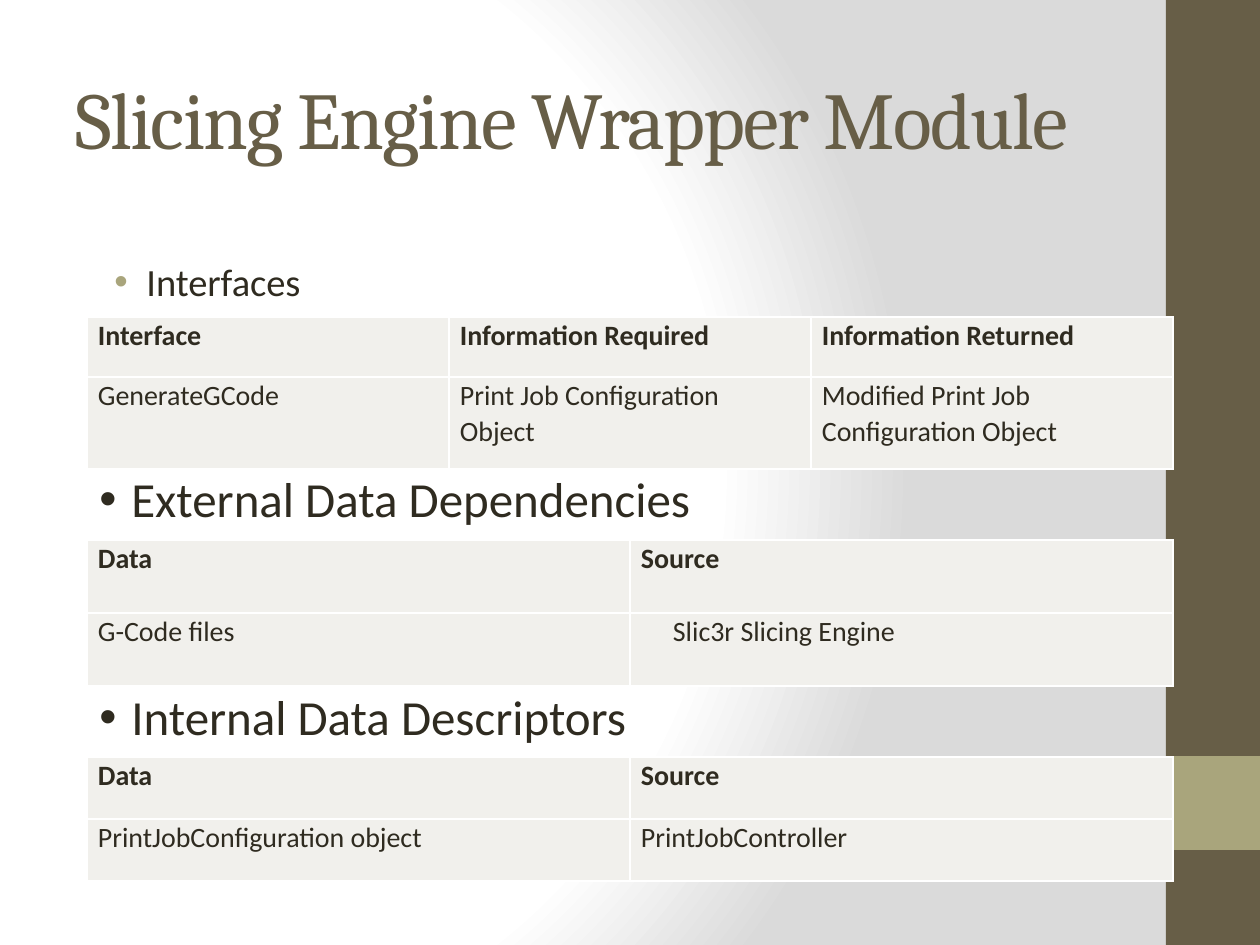
from lxml.etree import SubElement
from pptx import Presentation
from pptx.dml.color import RGBColor
from pptx.enum.shapes import MSO_SHAPE
from pptx.enum.text import MSO_ANCHOR, PP_ALIGN
from pptx.oxml import parse_xml
from pptx.oxml.ns import nsdecls, qn
from pptx.util import Pt

PX = 914400 / 126
BROWN = RGBColor(0x67, 0x5E, 0x47)
OLIVE = RGBColor(0xA9, 0xA5, 0x7C)
INK = RGBColor(0x2F, 0x2B, 0x20)
CELL = RGBColor(0xF1, 0xF0, 0xEC)
WHITE = RGBColor(0xFF, 0xFF, 0xFF)
GREY = RGBColor(0xDA, 0xDA, 0xDA)

CONTENT_LEFT = 87
CONTENT_WIDTH = 1086
HEADING_HEIGHT = 70
BULLET_HANG = 32


def px(length):
    return round(length * PX)


def set_font(para, size, color=INK, name="Calibri", bold=False):
    font = para.font
    font.name, font.size, font.bold = name, Pt(size), bold
    font.color.rgb = color


def set_background(page):
    """Radial gradient, white around a focus on the left and grey to the right."""
    page.background.fill.gradient()
    old = page._element.find(".//" + qn("a:gradFill"))
    stops = "".join(
        f'<a:gs pos="{percent * 1000}"><a:srgbClr val="{color}"/></a:gs>'
        for percent, color in ((0, WHITE), (75, WHITE), (100, GREY)))
    gradient = parse_xml(
        f'<a:gradFill {nsdecls("a")} rotWithShape="1"><a:gsLst>{stops}</a:gsLst>'
        '<a:path path="circle"><a:fillToRect l="20000" t="50000" r="100000" b="50000"/>'
        '</a:path></a:gradFill>')
    old.getparent().replace(old, gradient)


def add_band(page, top, height, color):
    band = page.shapes.add_shape(
        MSO_SHAPE.RECTANGLE, px(1166), px(top), px(94), px(height))
    band.shadow.inherit = False
    band.fill.solid()
    band.fill.fore_color.rgb = color
    band.line.fill.background()


def set_title(page, text):
    title = page.shapes.title
    title.left, title.top, title.width, title.height = px(63), px(38), px(1050), px(158)
    frame = title.text_frame
    frame.word_wrap = True
    frame.vertical_anchor = MSO_ANCHOR.MIDDLE
    para = frame.paragraphs[0]
    para.alignment = PP_ALIGN.LEFT
    span = para.add_run()
    span.text = text
    span._r.get_or_add_rPr().set("spc", "-100")
    set_font(para, 46, BROWN, "Cambria")


def add_heading(page, text, top, size=28, indent=BULLET_HANG, line_spacing=0.9,
                bullet_color=INK):
    box = page.shapes.add_textbox(
        px(CONTENT_LEFT), px(top), px(CONTENT_WIDTH), px(HEADING_HEIGHT))
    box.text_frame.word_wrap = True
    para = box.text_frame.paragraphs[0]
    para.text = text
    para.line_spacing = line_spacing
    properties = para._p.get_or_add_pPr()
    properties.set("marL", str(px(indent)))
    properties.set("indent", str(-px(BULLET_HANG)))
    bullet_fill = SubElement(properties, qn("a:buClr"))
    SubElement(bullet_fill, qn("a:srgbClr")).set("val", str(bullet_color))
    SubElement(properties, qn("a:buFont")).set("typeface", "Arial")
    SubElement(properties, qn("a:buChar")).set("char", "•")
    set_font(para, size)


def set_borders(cell):
    properties = cell._tc.get_or_add_tcPr()
    for index, side in enumerate(("lnL", "lnR", "lnT", "lnB")):
        properties.insert(index, parse_xml(
            f'<a:{side} {nsdecls("a")} w="{Pt(1)}"><a:solidFill>'
            f'<a:srgbClr val="{WHITE}"/></a:solidFill></a:{side}>'))


def fill_cell(cell, text, bold, alignment):
    cell.margin_left = cell.margin_right = px(11)
    cell.margin_top = cell.margin_bottom = 0
    cell.fill.solid()
    cell.fill.fore_color.rgb = CELL
    set_borders(cell)
    para = cell.text_frame.paragraphs[0]
    para.text = text
    para.alignment = alignment
    para.line_spacing = 1.05
    para.space_after = Pt(8)
    set_font(para, 16, bold=bold)


def add_grid(page, top, row_heights, rows, body_alignment=PP_ALIGN.JUSTIFY):
    """Table with equal columns and a bold first row."""
    columns = len(rows[0])
    table = page.shapes.add_table(
        len(rows), columns, px(CONTENT_LEFT), px(top),
        px(CONTENT_WIDTH), px(sum(row_heights))).table
    table.first_row = table.horz_banding = False
    for column in table.columns:
        column.width = px(CONTENT_WIDTH / columns)
    for row_index, (height, texts) in enumerate(zip(row_heights, rows)):
        table.rows[row_index].height = px(height)
        is_header = row_index == 0
        alignment = PP_ALIGN.JUSTIFY if is_header else body_alignment
        for column_index, text in enumerate(texts):
            fill_cell(table.cell(row_index, column_index), text, is_header, alignment)
    return table


def main():
    deck = Presentation()
    deck.slide_width, deck.slide_height = px(1260), px(945)
    page = deck.slides.add_slide(deck.slide_layouts[5])
    set_background(page)
    add_band(page, 0, 945, BROWN)
    add_band(page, 756, 94, OLIVE)
    set_title(page, "Slicing Engine Wrapper Module")

    add_heading(page, "Interfaces", 252, size=22, indent=47, line_spacing=1.0,
                bullet_color=OLIVE)
    add_heading(page, "External Data Dependencies", 469)
    add_heading(page, "Internal Data Descriptors", 687)

    add_grid(page, 317, (60, 92), (
        ("Interface", "Information Required", "Information Returned"),
        ("GenerateGCode", "Print Job Configuration Object",
         "Modified Print Job Configuration Object"),
    ), PP_ALIGN.LEFT)
    dependencies = add_grid(page, 540, (73, 73), (
        ("Data", "Source"),
        ("G-Code files", "Slic3r Slicing Engine"),
    ))
    engine = dependencies.cell(1, 1).text_frame.paragraphs[0]
    engine._p.get_or_add_pPr().set("marL", str(px(BULLET_HANG)))
    add_grid(page, 757, (62, 62), (
        ("Data", "Source"),
        ("PrintJobConfiguration object", "PrintJobController"),
    ))
    deck.save("out.pptx")


if __name__ == "__main__":
    main()
